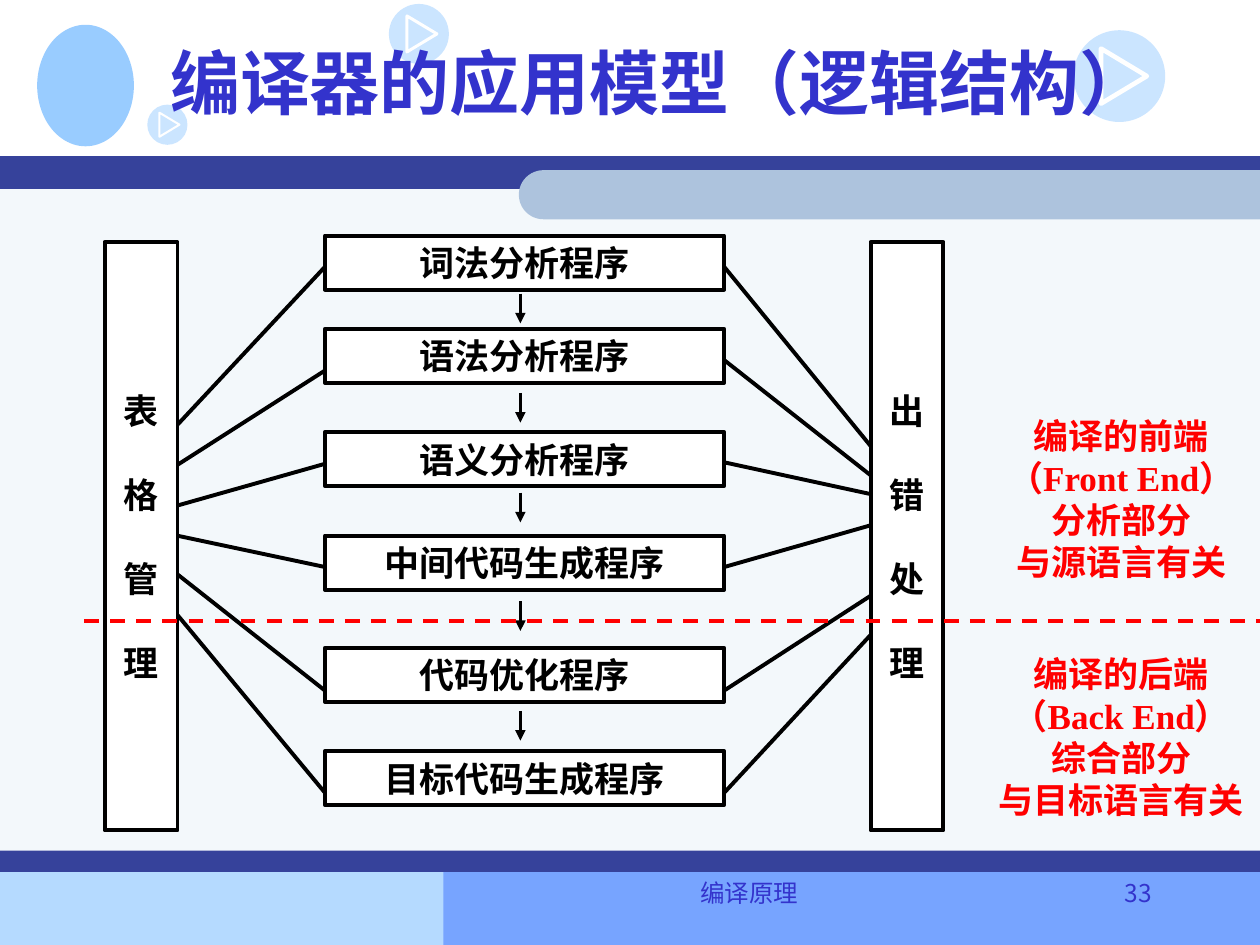
from lxml import etree
from pptx import Presentation
from pptx import util as u
from pptx.dml.color import RGBColor
from pptx.enum import dml, shapes, text
from pptx.oxml import ns

BLUE, SKY, NAVY, RED, BLACK, WHITE = "3333CC", "99CCFF", "36429B", "FF0000", "000000", "FFFFFF"
SERIF, SANS = "Times New Roman", "Noto Sans CJK KR"
MID, LEFT, RIGHT = text.PP_ALIGN.CENTER, text.PP_ALIGN.LEFT, text.PP_ALIGN.RIGHT
KIND = shapes.MSO_SHAPE


def tint(fmt, code):
    fmt.rgb = RGBColor.from_string(code)


def add(node, tag, **attrs):
    return etree.SubElement(node, ns.qn(tag), attrs)


class Painter:
    """Draws styled elements on one slide, with lengths in centimetres."""

    def __init__(self, slide, size=20, edge=2.25):
        self.shapes, self.size, self.edge = slide.shapes, size, edge

    def shape(self, x, y, w, h, fill, kind=KIND.RECTANGLE, alpha=None):
        item = self.shapes.add_shape(kind, u.Cm(x), u.Cm(y), u.Cm(w), u.Cm(h))
        item.shadow.inherit = False
        item.fill.solid()
        tint(item.fill.fore_color, fill)
        item.line.fill.background()
        if alpha:
            color = item.element.spPr.find(".//" + ns.qn("a:srgbClr"))
            add(color, "a:alpha", val=str(alpha * 1000))
        return item

    def letter(self, item, words, color=BLACK, size=None, font=SERIF, bold=True,
               align=MID, anchor=text.MSO_ANCHOR.MIDDLE, wrap=False, gap=0):
        frame = item.text_frame
        frame.text = words
        frame.word_wrap = wrap
        frame.vertical_anchor = anchor
        for i, para in enumerate(frame.paragraphs):
            para.alignment = align
            if i and gap:
                para.space_before = u.Pt(gap)
            for run in para.runs:
                run.font.name, run.font.bold = font, bold
                run.font.size = u.Pt(size or self.size)
                tint(run.font.color, color)

    def label(self, x, y, w, h, words, **style):
        item = self.shapes.add_textbox(u.Cm(x), u.Cm(y), u.Cm(w), u.Cm(h))
        self.letter(item, words, **style)

    def box(self, x, y, w, h, words, gap=0):
        item = self.shape(x, y, w, h, WHITE)
        tint(item.line.color, BLACK)
        item.line.width = u.Pt(self.edge)
        self.letter(item, words, gap=gap)

    def line(self, x1, y1, x2, y2, color=BLACK, width=None, dash=False, arrow=False):
        item = self.shapes.add_connector(
            shapes.MSO_CONNECTOR.STRAIGHT, u.Cm(x1), u.Cm(y1), u.Cm(x2), u.Cm(y2))
        tint(item.line.color, color)
        item.line.width = u.Pt(width or self.edge)
        if dash:
            item.line.dash_style = dml.MSO_LINE.DASH
        props = item.element.spPr
        if arrow:
            add(props.find(ns.qn("a:ln")), "a:tailEnd", type="triangle")
        add(props, "a:effectLst")

    def play(self, x, y, d):
        self.shape(x, y, d, d, SKY, KIND.OVAL, alpha=50)
        pts = [(u.Cm(x + a * d), u.Cm(y + b * d))
               for a, b in ((0.3, 0.2), (0.8, 0.5), (0.3, 0.8))]
        pen = self.shapes.build_freeform(*pts[0])
        pen.add_line_segments(pts[1:], close=True)
        item = pen.convert_to_shape()
        item.shadow.inherit = False
        item.fill.background()
        tint(item.line.color, WHITE)
        item.line.width = u.Cm(0.05 * d)

    def tab(self, x, y, w, h, fill):
        item = self.shape(x + (w - h) / 2, y - (w - h) / 2, h, w, fill,
                          KIND.ROUND_2_SAME_RECTANGLE)
        item.adjustments[0] = 0.5
        item.rotation = 270


def frame(art):
    for band in ((0, 17.58, 10.8, 1.47, "B5DAFF"), (8.94, 17.55, 16.46, 1.5, "77A4FF"),
                 (0, 3.56, 25.4, 14, "F3F8FB"), (0, 3.15, 25.4, 0.66, NAVY),
                 (0, 17.15, 25.4, 0.43, NAVY)):
        art.shape(*band)
    art.tab(10.46, 3.43, 14.94, 0.99, "ADC3DD")
    art.shape(0.75, 0.5, 1.95, 2.45, SKY, KIND.OVAL)
    for disc in ((7.84, 0.08, 1.21), (21.64, 0.61, 1.85), (2.97, 2.11, 0.81)):
        art.play(*disc)
    art.label(3.18, 0.15, 21.59, 2.97, "编译器的应用模型（逻辑结构）",
              color=BLUE, size=40, align=LEFT, wrap=True)
    foot = dict(color=BLUE, size=14, font=SANS, bold=False,
                anchor=text.MSO_ANCHOR.TOP, wrap=True)
    art.label(8.69, 17.58, 12.83, 1.27, "编译原理", **foot)
    art.label(21.49, 17.58, 1.98, 1.27, "33", align=RIGHT, **foot)


def model(art):
    left, wide, high, side = 6.55, 8.05, 1.09, 1.47
    table, error = 2.11, 17.55
    steps = (
        ("词法分析程序", 4.75, (5.38, 8.56), (5.38, 8.99)),
        ("语法分析程序", 6.63, (7.47, 9.37), (7.26, 9.58)),
        ("语义分析程序", 8.71, (9.35, 10.19), (9.32, 9.96)),
        ("中间代码生成程序", 10.8, (11.43, 10.8), (11.43, 10.59)),
        ("代码优化程序", 13.06, (13.92, 11.58), (13.92, 12.01)),
        ("目标代码生成程序", 15.14, (15.98, 12.4), (15.98, 12.8)),
    )
    for x, words in ((table, "表格管理"), (error, "出错处理")):
        art.box(x, 4.88, side, 11.86, "\n".join(words), gap=24)
    for name, top, (y1, y2), (y3, y4) in steps:
        art.box(left, top, wide, high, name)
        art.line(left, y1, table + side, y2)
        art.line(left + wide, y3, error, y4)
    for top in (5.92, 7.92, 9.93, 12.12, 14.33):
        art.line(10.49, top, 10.49, top + 0.6, width=2, arrow=True)
    art.line(1.7, 12.52, 25.4, 12.52, color=RED, width=2.13, dash=True)
    for top, words in ((9.32, "编译的前端\n（Front End）\n分析部分\n与源语言有关"),
                       (14.12, "编译的后端\n（Back End）\n综合部分\n与目标语言有关")):
        art.label(19.81, top, 5.59, 1.47, words, color=RED)


def main():
    deck = Presentation()
    deck.slide_width, deck.slide_height = u.Cm(25.4), u.Cm(19.05)
    art = Painter(deck.slides.add_slide(deck.slide_layouts[6]))
    frame(art)
    model(art)
    deck.save("out.pptx")


if __name__ == "__main__":
    main()
